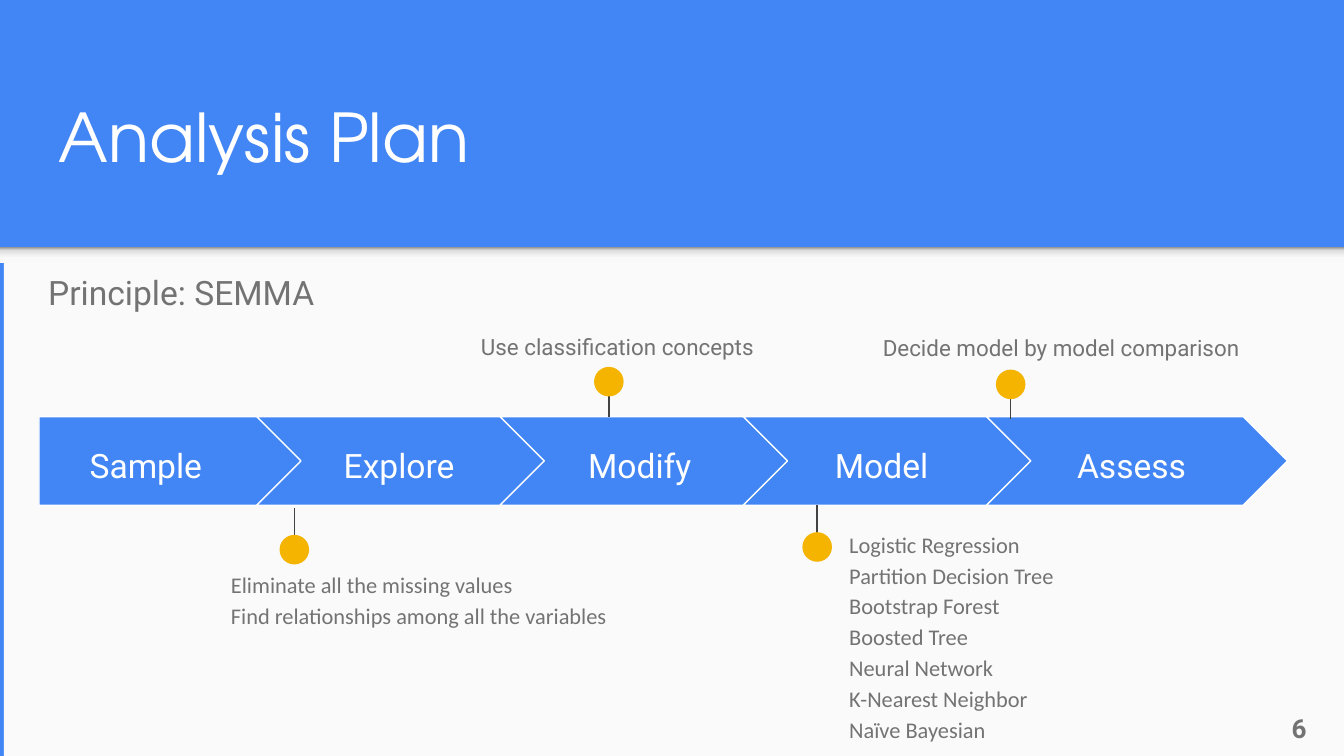
from lxml import etree
from pptx import Presentation
from pptx.dml.color import RGBColor
from pptx.enum.shapes import MSO_CONNECTOR, MSO_SHAPE
from pptx.enum.text import MSO_ANCHOR, PP_ALIGN
from pptx.oxml.ns import qn
from pptx.util import Inches, Pt

RECTANGLE, OVAL = MSO_SHAPE.RECTANGLE, MSO_SHAPE.OVAL
PENTAGON, CHEVRON = MSO_SHAPE.PENTAGON, MSO_SHAPE.CHEVRON
STRAIGHT = MSO_CONNECTOR.STRAIGHT
TOP, MIDDLE, BOTTOM = MSO_ANCHOR.TOP, MSO_ANCHOR.MIDDLE, MSO_ANCHOR.BOTTOM
LEFT, CENTER, RIGHT = PP_ALIGN.LEFT, PP_ALIGN.CENTER, PP_ALIGN.RIGHT

SLIDE_WIDTH = 10
SLIDE_HEIGHT = SLIDE_WIDTH * 9 / 16

COLORS = {
    "blue": "4285F4", "panel": "FAFAFA", "white": "FFFFFF",
    "gray": "737373", "line": "424242", "amber": "F4B400",
}
SHADOW_STOPS = [(0, "F9F9F9"), (36, "F9F9F9"), (80, "DEDEDE"), (100, "999999")]

# Step name, label left, label width
STEPS = [
    ("Sample", 0.29, 1.59),
    ("Explore", 2.25, 1.44),
    ("Modify", 4.04, 1.44),
    ("Model", 5.84, 1.44),
    ("Assess", 7.7, 1.44),
]
STEP_LEFT, STEP_TOP, STEP_HEIGHT = 0.29, 3.1, 0.66
FIRST_WIDTH, CHEVRON_WIDTH = 2.05, 2.24
CHEVRON_LEFT, CHEVRON_PITCH = 1.91, 1.81

DOT_SIZE = 0.22
# Pin: x, dot centre y, tip y; note: box, font, lines
CALLOUTS = [
    {"pin": (2.19, 4.09, 3.78), "box": (1.62, 4.12, 3.15, 0.99), "font": "Calibri",
     "lines": ["Eliminate all the missing values",
               "Find relationships among all the variables"]},
    {"pin": (4.53, 2.84, 3.1), "box": (3.48, 2.35, 3.08, 0.43), "font": "Roboto",
     "lines": ["Use classification concepts"]},
    {"pin": (6.08, 4.07, 3.76), "box": (6.22, 3.82, 2.09, 1.74), "font": "Calibri",
     "lines": ["Logistic Regression", "Partition Decision Tree", "Bootstrap Forest",
               "Boosted Tree", "Neural Network", "K-Nearest Neighbor",
               "Naïve Bayesian"]},
    {"pin": (7.52, 2.86, 3.12), "box": (6.47, 2.36, 3.08, 0.43), "font": "Roboto",
     "lines": ["Decide model by model comparison"]},
]


def rgb(name):
    return RGBColor.from_string(COLORS[name])


def add_shape(slide, kind, box, fill, line=None):
    shape = slide.shapes.add_shape(kind, *map(Inches, box))
    shape.shadow.inherit = False
    shape.fill.solid()
    shape.fill.fore_color.rgb = rgb(fill)
    if line:
        shape.line.color.rgb = rgb(line)
        shape.line.width = Pt(0.75)
    else:
        shape.line.fill.background()
    return shape


def add_text(slide, box, lines, size, color="gray", font="Roboto", bold=False,
             align=LEFT, anchor=TOP, spacing=1.0, indent=0):
    frame = slide.shapes.add_textbox(*map(Inches, box)).text_frame
    frame_format = {"word_wrap": True, "vertical_anchor": anchor}
    for side in ("left", "top", "right", "bottom"):
        frame_format[f"margin_{side}"] = Inches(0.1)
    for name, value in frame_format.items():
        setattr(frame, name, value)
    frame.text = "\n".join(lines)
    for paragraph in frame.paragraphs:
        paragraph.alignment = align
        paragraph.line_spacing = spacing
        if indent:
            paragraph._p.get_or_add_pPr().set("marL", str(Inches(indent)))
        run_font = paragraph.runs[0].font
        for name, value in {"name": font, "size": Pt(size), "bold": bold}.items():
            setattr(run_font, name, value)
        run_font.color.rgb = rgb(color)


def add_header_shadow(slide):
    shape = add_shape(slide, RECTANGLE, (0, 1.84, SLIDE_WIDTH, 0.12), "panel")
    shape.fill.gradient()
    shape.fill.gradient_angle = 90
    stop_list = shape.fill._fill._gradFill.find(qn("a:gsLst"))
    for stop in list(stop_list):
        stop_list.remove(stop)
    for position, color in SHADOW_STOPS:
        stop = etree.SubElement(stop_list, qn("a:gs"), pos=str(position * 1000))
        etree.SubElement(stop, qn("a:srgbClr"), val=color)


def add_step(slide, index, name, label_left, label_width):
    if index == 0:
        kind, left, width = PENTAGON, STEP_LEFT, FIRST_WIDTH
    else:
        kind, width = CHEVRON, CHEVRON_WIDTH
        left = CHEVRON_LEFT + CHEVRON_PITCH * (index - 1)
    shape = add_shape(slide, kind, (left, STEP_TOP, width, STEP_HEIGHT), "blue", "white")
    shape.adjustments[0] = 0.5
    add_text(slide, (label_left, 3.25, label_width, 0.42), [name], 18, "white",
             align=CENTER, anchor=MIDDLE)


def add_pin(slide, x, dot_y, tip_y):
    stem = slide.shapes.add_connector(STRAIGHT, *map(Inches, (x, dot_y, x, tip_y)))
    stem.line.color.rgb = rgb("line")
    stem.line.width = Pt(0.75)
    etree.SubElement(stem._element.spPr, qn("a:effectLst"))
    radius = DOT_SIZE / 2
    add_shape(slide, OVAL, (x - radius, dot_y - radius, DOT_SIZE, DOT_SIZE), "amber")


def main():
    presentation = Presentation()
    presentation.slide_width = Inches(SLIDE_WIDTH)
    presentation.slide_height = Inches(SLIDE_HEIGHT)
    slide = presentation.slides.add_slide(presentation.slide_layouts[6])
    slide.background.fill.solid()
    slide.background.fill.fore_color.rgb = rgb("blue")

    add_shape(slide, RECTANGLE, (0.03, 1.9, 10, 3.78), "panel")
    add_header_shadow(slide)
    add_text(slide, (0.34, 0.57, 8.99, 0.84), ["Analysis Plan"], 36, "white",
             "TeX Gyre Adventor", anchor=BOTTOM)
    add_text(slide, (0.14, 1.88, 8.99, 2.96), ["Principle: SEMMA"], 18,
             spacing=1.15, indent=0.12)
    add_text(slide, (9.22, 5.2, 0.6, 0.43), ["6"], 14, bold=True,
             align=RIGHT, anchor=MIDDLE)

    for index, step in enumerate(STEPS):
        add_step(slide, index, *step)
    for callout in CALLOUTS:
        add_pin(slide, *callout["pin"])
        add_text(slide, callout["box"], callout["lines"], 12,
                 font=callout["font"], spacing=1.15)

    presentation.save("out.pptx")


if __name__ == "__main__":
    main()
